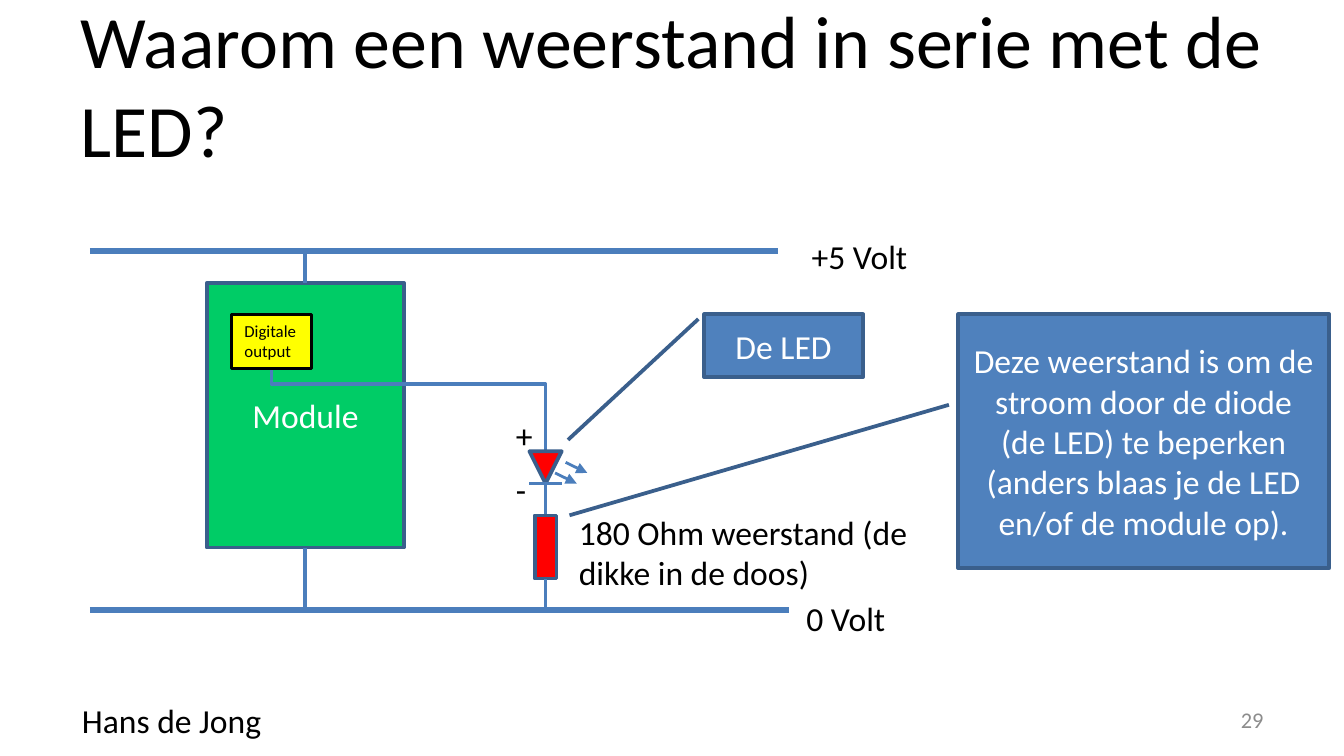
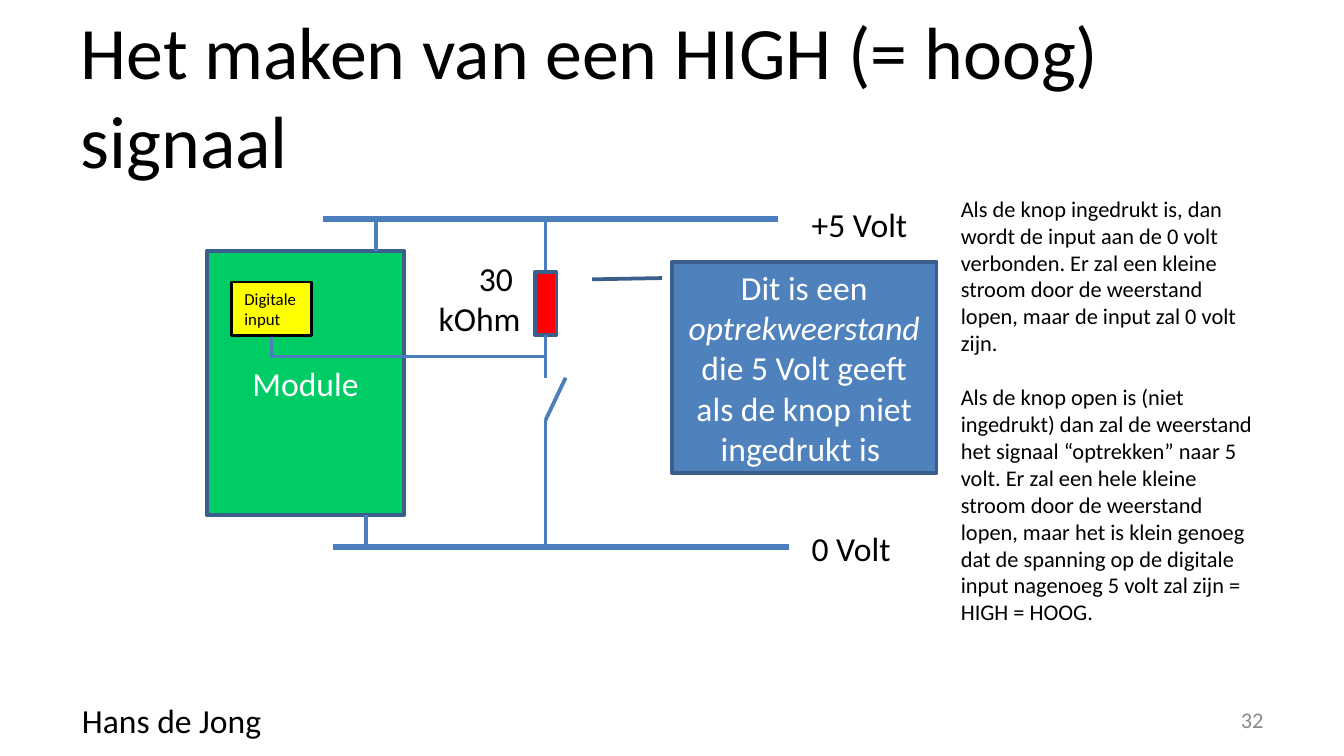
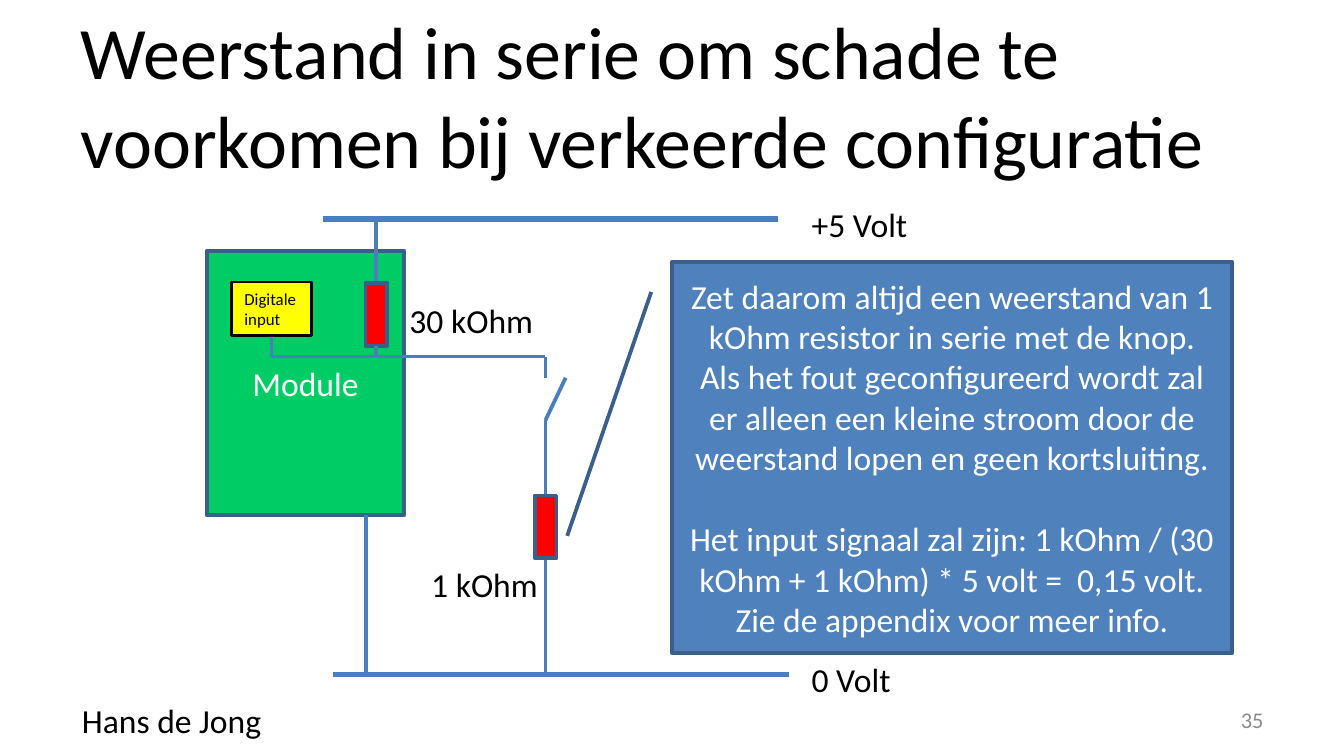
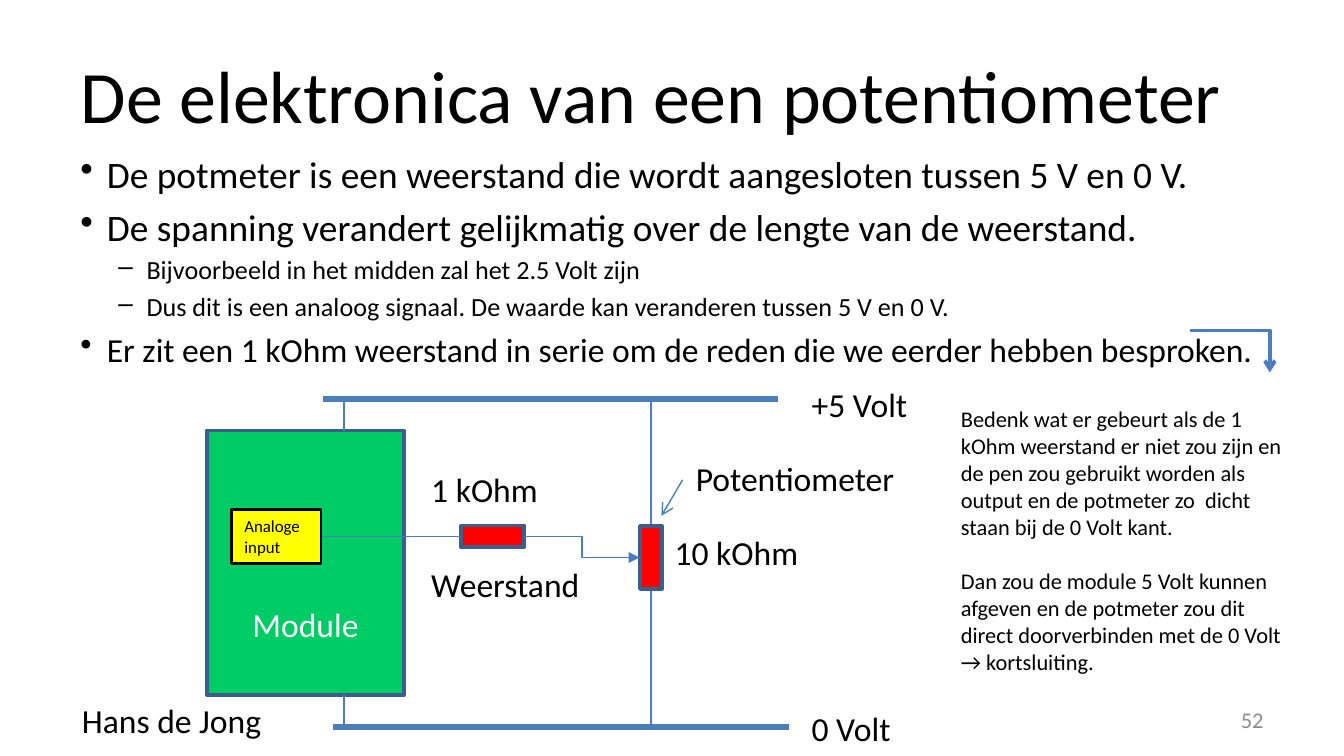
from dataclasses import dataclass
from typing import Any

from pptx import Presentation
from pptx.dml.color import RGBColor
from pptx.enum.shapes import MSO_CONNECTOR as LINK, MSO_SHAPE as SHAPE
from pptx.enum.text import MSO_ANCHOR as ANCHOR, MSO_AUTO_SIZE as FIT, PP_ALIGN as ALIGN
from pptx.oxml.ns import qn
from pptx.oxml.xmlchemy import OxmlElement as element
from pptx.util import Cm, Pt

COLORS = {
    "ink": "000000", "paper": "FFFFFF", "muted": "8C8C8C",
    "board": "00CC66", "pin": "FFFF00", "part": "FF0000",
    "callout": "4F81BD", "edge": "3A5F8C", "wire": "4B7EBC",
}

# Text styles: font values, colour name and alignment
STYLES = {
    "title": ({"size": Pt(39.6)}, "ink", ALIGN.LEFT),
    "label": ({"size": Pt(18)}, "ink", ALIGN.LEFT),
    "label_right": ({"size": Pt(18)}, "ink", ALIGN.RIGHT),
    "block": ({"size": Pt(18)}, "paper", ALIGN.CENTER),
    "pin": ({"size": Pt(9)}, "ink", ALIGN.LEFT),
    "note": ({"size": Pt(12)}, "ink", ALIGN.LEFT),
    "number": ({"size": Pt(12)}, "muted", ALIGN.RIGHT),
    "point": ({"size": Pt(20)}, "ink", ALIGN.LEFT),
    "subpoint": ({"size": Pt(14)}, "ink", ALIGN.LEFT),
    "last_point": ({"size": Pt(18)}, "ink", ALIGN.LEFT),
}

# Bullet levels: character, left margin and hanging indent in cm
BULLETS = {"point": ("•", 0.5, 0.5), "subpoint": ("–", 1.25, 0.53),
           "last_point": ("•", 0.5, 0.5)}

# Circuit measures in cm, from the board's left edge and the +5 V rail
BOARD_TOP, BOARD_WIDTH, BOARD_HEIGHT = 0.6, 3.73, 5
PIN_LEFT, PIN_TOP, PIN_WIDTH, PIN_HEIGHT = 0.46, 1.19, 1.52, 1.02
PIN_X, PIN_BOTTOM = PIN_LEFT + PIN_WIDTH / 2, PIN_TOP + PIN_HEIGHT
RESISTOR_LENGTH, RESISTOR_WIDTH = 1.19, 0.41
BRANCH_X, JUNCTION_Y, SWITCH_TOP, SWITCH_BOTTOM = 6.4, 2.6, 3, 3.8
LABEL_HEIGHT = 1.02


def color(name):
    return RGBColor.from_string(COLORS[name])


def write_paragraph(paragraph, text, style):
    """Write one paragraph; parts between underscores are italic."""
    font_values, ink, paragraph.alignment = STYLES[style]
    for index, part in enumerate(text.split("_")):
        run = paragraph.add_run()
        run.text = part
        values = {"name": "Calibri", "italic": index % 2 == 1, **font_values}
        for key, value in values.items():
            setattr(run.font, key, value)
        run.font.color.rgb = color(ink)


def write(frame, paragraphs, style, gap=0, **frame_values):
    """Fill a text frame; gap is the space before its second paragraph."""
    values = {"word_wrap": True, "auto_size": FIT.NONE, **frame_values}
    for key, value in values.items():
        setattr(frame, key, value)
    for index, text in enumerate(paragraphs):
        paragraph = frame.add_paragraph() if index else frame.paragraphs[0]
        if index == 1 and gap:
            paragraph.space_before = Pt(gap)
        write_paragraph(paragraph, text, style)


@dataclass
class Region:
    """A box on a slide; its parts are placed in cm from its corner."""
    slide: Any
    left: float
    top: float
    width: float
    height: float

    def place(self, x, y):
        return Cm(self.left + x), Cm(self.top + y)

    def label(self, x, y, width, height, paragraphs, style="label", **values):
        box = self.slide.shapes.add_textbox(
            *self.place(x, y), Cm(width), Cm(height))
        write(box.text_frame, paragraphs, style, **values)
        return box

    def block(self, kind, x, y, width, height, fill, edge="edge", weight=2):
        block = self.slide.shapes.add_shape(
            kind, *self.place(x, y), Cm(width), Cm(height))
        block.shadow.inherit = False
        block.fill.solid()
        block.fill.fore_color.rgb = color(fill)
        block.line.color.rgb = color(edge)
        block.line.width = Pt(weight)
        return block

    def wire(self, start, end, weight=2, head=None, bend=None,
             down_first=False, adjust=None):
        """Straight wire, or an elbow whose preset is named by bend."""
        (x1, y1), (x2, y2) = start, end
        if down_first:  # frame of an elbow that is turned a quarter
            cx, cy, dx, dy = (x1 + x2) / 2, (y1 + y2) / 2, x2 - x1, y2 - y1
            x1, y1, x2, y2 = cx - dy / 2, cy - dx / 2, cx + dy / 2, cy + dx / 2
        wire = self.slide.shapes.add_connector(
            LINK.ELBOW if bend else LINK.STRAIGHT,
            *self.place(x1, y1), *self.place(x2, y2))
        wire.line.color.rgb = color("wire")
        wire.line.width = Pt(weight)
        properties = wire._element.spPr
        if bend:
            geometry = properties.find(qn("a:prstGeom"))
            geometry.set("prst", bend)
            if adjust is not None:
                guide = element("a:gd")
                guide.set("name", "adj1")
                guide.set("fmla", f"val {round(adjust * 100000)}")
                geometry.get_or_add_avLst().append(guide)
        if down_first:
            frame = properties.find(qn("a:xfrm"))
            frame.set("rot", "16200000")
            frame.set("flipH", "1")
        if head:
            tail = element("a:tailEnd")
            tail.set("type", head)
            properties.find(qn("a:ln")).append(tail)
        properties.append(element("a:effectLst"))

    def resistor(self, x, y, upright=True):
        """Resistor centred on x, y."""
        part = self.block(SHAPE.RECTANGLE, x - RESISTOR_LENGTH / 2,
                          y - RESISTOR_WIDTH / 2, RESISTOR_LENGTH,
                          RESISTOR_WIDTH, "part")
        part.rotation = 90 if upright else 0

    def callout(self, x, y, width, height, paragraphs, pointer, gap=0):
        callout = self.block(SHAPE.LINE_CALLOUT_1, x, y, width, height, "callout")
        for index, value in enumerate(pointer):
            callout.adjustments[index] = value
        write(callout.text_frame, paragraphs, "block", gap,
              vertical_anchor=ANCHOR.MIDDLE)

    def rails(self, top_start=2.19, bottom_start=2.39, zero_at=(11.18, -0.48)):
        """Both supply rails with their voltages."""
        self.wire((bottom_start, self.height), (11, self.height), 3)
        self.wire((top_start, 0), (10.8, 0), 3)
        zero_x, zero_y = zero_at
        self.label(11.18, -0.41, 2.34, LABEL_HEIGHT, ["+5 Volt"], word_wrap=False)
        self.label(zero_x, self.height + zero_y, 2.03, LABEL_HEIGHT, ["0 Volt"],
                   word_wrap=False)

    def board(self, top_feed, bottom_feed, weight=2, margin_top=0.13):
        """Controller board and its two supply wires."""
        board = self.block(SHAPE.RECTANGLE, 0, BOARD_TOP, BOARD_WIDTH,
                           BOARD_HEIGHT, "board")
        write(board.text_frame, ["Module"], "block",
              vertical_anchor=ANCHOR.MIDDLE, margin_top=Cm(margin_top))
        self.wire((top_feed, 0), (top_feed, BOARD_TOP), weight)
        self.wire((bottom_feed, BOARD_TOP + BOARD_HEIGHT),
                  (bottom_feed, self.height), weight)

    def pin(self, text, y=PIN_TOP, width=PIN_WIDTH):
        pin = self.block(SHAPE.RECTANGLE, PIN_LEFT, y, width, PIN_HEIGHT,
                         "pin", "ink", 1.5)
        write(pin.text_frame, [text], "pin", vertical_anchor=ANCHOR.TOP)

    def input_with_switch(self):
        """Pin wire to the branch, and the open switch down to 0 V."""
        self.wire((PIN_X, PIN_BOTTOM), (BRANCH_X, JUNCTION_Y),
                  bend="bentConnector2", down_first=True)
        self.wire((BRANCH_X, JUNCTION_Y), (BRANCH_X, SWITCH_TOP))
        self.wire((BRANCH_X, SWITCH_BOTTOM), (6.78, SWITCH_TOP))
        self.wire((BRANCH_X, self.height), (BRANCH_X, SWITCH_BOTTOM))
        self.pin("Digitale input")


def led_circuit(region):
    region.board(1.86, 1.86)
    region.rails(-2.21, -2.21, (11.08, -0.36))
    led_top, led_bottom, led_size = 3.78, 4.39, 0.61
    led_left = BRANCH_X - led_size / 2
    region.wire((PIN_X, PIN_BOTTOM), (BRANCH_X, led_top), bend="bentConnector3",
                down_first=True, adjust=0.19)
    region.pin("Digitale output")

    # LED with its light
    led = region.block(SHAPE.ISOSCELES_TRIANGLE, led_left, led_top, led_size,
                       led_size, "part")
    led.rotation = 180
    region.wire((led_left, led_bottom), (led_left + led_size, led_bottom))
    for x, y in ((6.78, 3.99), (6.58, 4.19)):
        region.wire((x, y), (x + 0.41, y + 0.2), 1.5, "triangle")
    for sign, y in (("+", 2.97), ("-", 3.99)):
        region.label(5.59, y, 1.4, LABEL_HEIGHT, [sign])

    # Series resistor
    region.wire((BRANCH_X, led_bottom), (BRANCH_X, 5))
    region.resistor(BRANCH_X, 5.59)
    region.wire((BRANCH_X, 6.19), (BRANCH_X, region.height))
    region.label(6.78, 4.8, 6.81, 1.8, ["180 Ohm weerstand (de dikke in de doos)"])

    region.callout(14.2, PIN_TOP, 7.01, 4.8, [
        "Deze weerstand is om de stroom door de diode (de LED) te beperken "
        "(anders blaas je de LED en/of de module op)."],
        (0.357, -0.025, 0.792, -1.048))
    region.callout(9.4, PIN_TOP, 3, 1.19, ["De LED"],
                   (0.077, -0.037, 1.996, -0.858))


def pull_up_circuit(region):
    region.board(3.2, 3)
    region.rails()
    region.wire((BRANCH_X, 0), (BRANCH_X, 1))
    region.resistor(BRANCH_X, 1.6)
    region.wire((BRANCH_X, 2.2), (BRANCH_X, JUNCTION_Y))
    region.input_with_switch()
    region.label(3.79, 0.61, 2.39, 1.8, ["30 ", "kOhm"], "label_right")
    region.callout(8.79, 0.81, 5, 3.99, [
        "Dit is een _optrekweerstand_ die 5 Volt geeft als de knop niet "
        "ingedrukt is "], (0.077, -0.037, 0.083, -0.302))
    region.label(14, -0.58, 6.2, 8.46, [
        "Als de knop ingedrukt is, dan wordt de input aan de 0 volt verbonden. "
        "Er zal een kleine stroom door de weerstand lopen, maar de input zal "
        "0 volt zijn.",
        "Als de knop open is (niet ingedrukt) dan zal de weerstand het signaal "
        "“optrekken” naar 5 volt. Er zal een hele kleine stroom door de "
        "weerstand lopen, maar het is klein genoeg dat de spanning op de "
        "digitale input nagenoeg 5 volt zal zijn = HIGH = HOOG."],
        "note", gap=14.6)


def protected_circuit(region):
    region.board(3.2, 3)
    region.rails(zero_at=(11.18, -0.41))
    region.wire((3.2, BOARD_TOP), (3.2, 1.2))
    region.resistor(3.2, 1.8)
    region.wire((3.2, 2.4), (3.2, JUNCTION_Y))
    region.input_with_switch()
    region.resistor(BRANCH_X, 5.82)
    region.label(3.58, 1.4, 3.4, LABEL_HEIGHT, ["30 kOhm"])
    region.label(3.99, 6.4, 3.4, LABEL_HEIGHT, ["1 kOhm"])
    region.callout(8.79, 0.81, 10.59, 7.39, [
        "Zet daarom altijd een weerstand van 1 kOhm resistor in serie met de "
        "knop. Als het fout geconfigureerd wordt zal er alleen een kleine "
        "stroom door de weerstand lopen en geen kortsluiting.",
        "Het input signaal zal zijn: 1 kOhm / (30 kOhm + 1 kOhm) * 5 volt =  "
        "0,15 volt.",
        "Zie de appendix voor meer info."],
        (0.077, -0.037, 0.701, -0.187), gap=22)


def potentiometer_circuit(region):
    thin, pot_x, pot_y, series_y = 0.75, 8.39, 3, 2.6
    region.board(2.59, 2.59, thin, margin_top=2.45)
    region.rails()

    # Potentiometer between the rails
    region.wire((pot_x, 2.4), (pot_x, 0), thin)
    region.wire((pot_x, 3.6), (pot_x, region.height), thin)
    region.resistor(pot_x, pot_y)

    # Series resistor from the wiper to the pin
    region.resistor(5.4, series_y, upright=False)
    region.wire((4.8, series_y), (2.16, series_y), thin)
    region.wire((6, series_y), (8.18, pot_y), thin, "triangle", "bentConnector3")
    region.pin("Analoge input", 2.09, 1.7)

    for text, x, y, width, wrap in (
            ("1 kOhm", 3.99, 1.2, 3.99, True),
            ("10 kOhm", 8.59, 2.39, 3.99, True),
            ("Potentiometer", 8.99, 0.99, 4.32, False),
            ("Weerstand", 3.99, 3, 3.35, False)):
        region.label(x, y, width, LABEL_HEIGHT, [text], word_wrap=wrap)
    region.wire((8.99, 1.53), (8.59, 2.21), thin, "arrow")

    # Warning, with the arrow that leads to it
    region.wire((18.59, -1.29), (20.09, -0.5), 2, "arrow", "bentConnector2")
    region.label(14, 0, 6.6, 5.38, [
        "Bedenk wat er gebeurt als de 1 kOhm weerstand er niet zou zijn en de "
        "pen zou gebruikt worden als output en de potmeter zo  dicht staan "
        "bij de 0 Volt kant.",
        "Dan zou de module 5 Volt kunnen afgeven en de potmeter zou dit "
        "direct doorverbinden met de 0 Volt → kortsluiting."],
        "note", gap=14.6)


def bullet_list(region, points):
    frame = region.label(0, 0, region.width, region.height, []).text_frame
    for index, (style, text) in enumerate(points):
        paragraph = frame.add_paragraph() if index else frame.paragraphs[0]
        if index:
            paragraph.space_before = STYLES[style][0]["size"] // 5
        mark, margin, hanging = BULLETS[style]
        properties = paragraph._p.get_or_add_pPr()
        properties.set("marL", str(Cm(margin)))
        properties.set("indent", str(-Cm(hanging)))
        bullet = element("a:buChar")
        bullet.set("char", mark)
        properties.append(bullet)
        write_paragraph(paragraph, text, style)


def add_slide(deck, title, number, title_top, title_height):
    """Title-only slide with author and slide number."""
    slide = deck.slides.add_slide(deck.slide_layouts[5])
    heading = slide.shapes.title
    place = {"left": 1.27, "top": title_top, "width": 22.86, "height": title_height}
    for key, value in place.items():
        setattr(heading, key, Cm(value))
    write(heading.text_frame, [title], "title", vertical_anchor=ANCHOR.MIDDLE)
    footer = Region(slide, 1.3, 13.11, 22.83, 1.02)
    footer.label(0, 0, 4.8, LABEL_HEIGHT, ["Hans de Jong"])
    footer.label(21.41, 0.12, 1.42, 0.76, [number], "number",
                 vertical_anchor=ANCHOR.MIDDLE)
    return slide


def main():
    deck = Presentation()
    deck.slide_width, deck.slide_height = Cm(25.4), Cm(14.29)

    # Title, number, title top and height, circuit, rail top and spacing
    pages = (
        ("Waarom een weerstand in serie met de LED?", "29", 0, 3.15,
         led_circuit, 4.75, 6.78),
        ("Het maken van een HIGH (= hoog) signaal", "32", 0, 3.56,
         pull_up_circuit, 4.14, 6.2),
        ("Weerstand in serie om schade te voorkomen bij verkeerde configuratie",
         "35", 0, 3.56, protected_circuit, 4.14, 8.61),
        ("De elektronica van een potentiometer", "52", 0.58, 2.39,
         potentiometer_circuit, 7.54, 6.2),
    )
    for title, number, title_top, title_height, circuit, top, height in pages:
        slide = add_slide(deck, title, number, title_top, title_height)
        if circuit is potentiometer_circuit:
            bullet_list(Region(slide, 1.27, 2.74, 22.86, 10), (
                ("point", "De potmeter is een weerstand die wordt aangesloten "
                          "tussen 5 V en 0 V."),
                ("point", "De spanning verandert gelijkmatig over de lengte "
                          "van de weerstand."),
                ("subpoint", "Bijvoorbeeld in het midden zal het 2.5 Volt zijn"),
                ("subpoint", "Dus dit is een analoog signaal. De waarde kan "
                             "veranderen tussen 5 V en 0 V."),
                ("last_point", "Er zit een 1 kOhm weerstand in serie om de "
                               "reden die we eerder hebben besproken."),
            ))
        circuit(Region(slide, 3.91, top, 21, height))
    deck.save("out.pptx")


if __name__ == "__main__":
    main()
